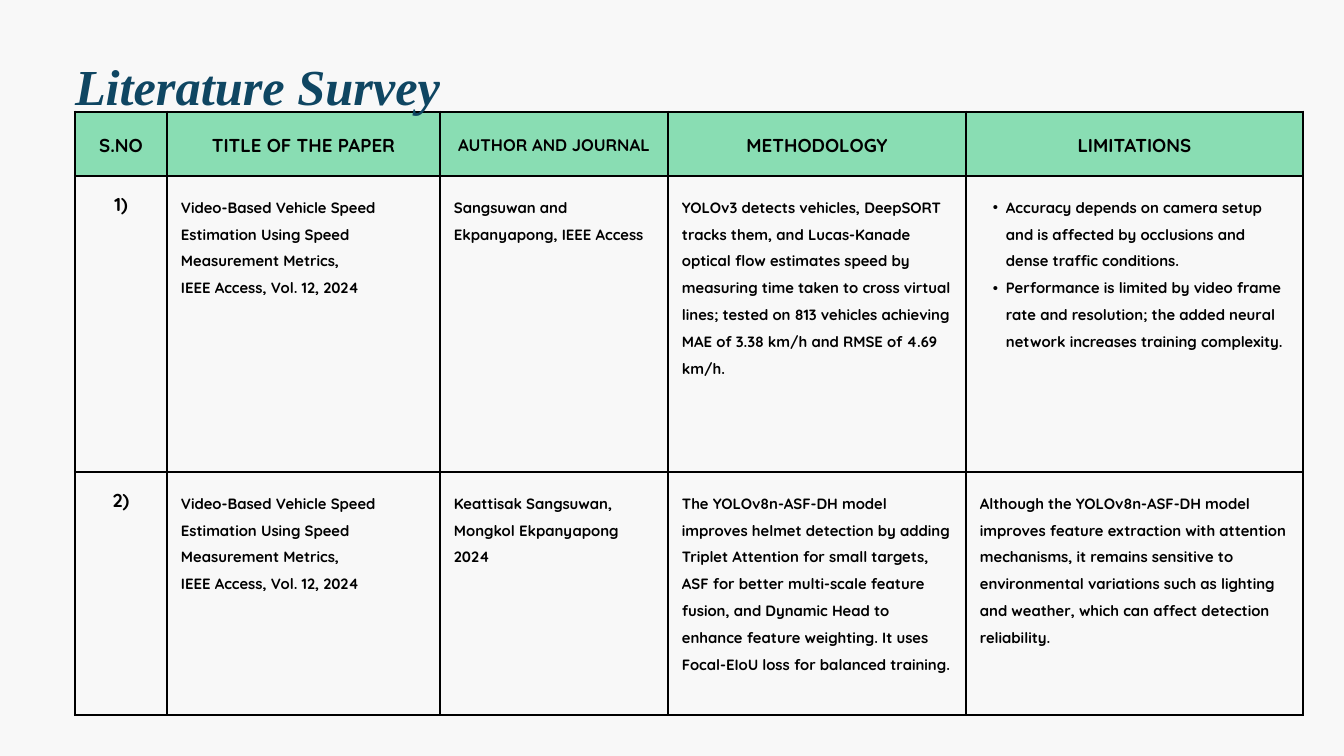
"""Build the Literature Survey slide with its table of reviewed papers."""
from dataclasses import dataclass

from lxml import etree
from pptx import Presentation
from pptx.dml.color import RGBColor
from pptx.enum.text import MSO_ANCHOR, MSO_AUTO_SIZE, PP_ALIGN
from pptx.oxml.ns import qn
from pptx.util import Pt

LEFT, CENTER = PP_ALIGN.LEFT, PP_ALIGN.CENTER
TOP, MIDDLE = MSO_ANCHOR.TOP, MSO_ANCHOR.MIDDLE
NO_AUTOFIT = MSO_AUTO_SIZE.NONE
EMU_PER_PX = 914400 / 67.2
TITLE_ONLY_LAYOUT = 5
BLACK, NAVY, MINT, PAPER = "000000", "0F4662", "89DDB3", "F8F8F8"
COLUMN_WIDTHS = (92, 273, 228, 298, 337)
ROW_HEIGHTS = (64, 296, 243)
CELL_MARGIN = 14
BULLET_INDENT = 13
BORDER_WIDTH = Pt(3)


@dataclass(frozen=True)
class Heading:
    """A column heading."""

    text: str
    size: int = 20


@dataclass(frozen=True)
class Paper:
    """One surveyed paper, with each field given as paragraphs."""

    title: tuple[str, ...]
    authors: tuple[str, ...]
    methodology: tuple[str, ...]
    limitations: tuple[str, ...]


HEADINGS = (
    Heading("S.NO"),
    Heading("TITLE OF THE PAPER"),
    Heading("AUTHOR AND JOURNAL", 18),
    Heading("METHODOLOGY"),
    Heading("LIMITATIONS"),
)
PAPER_TITLE = (
    "Video-Based Vehicle Speed Estimation Using Speed Measurement Metrics,",
    "IEEE Access, Vol. 12, 2024",
)
PAPERS = (
    Paper(
        PAPER_TITLE,
        ("Sangsuwan and Ekpanyapong, IEEE Access",),
        ("YOLOv3 detects vehicles, DeepSORT tracks them, and Lucas-Kanade optical "
         "flow estimates speed by measuring time taken to cross virtual lines; tested "
         "on 813 vehicles achieving MAE of 3.38 km/h and RMSE of 4.69 km/h.",),
        ("Accuracy depends on camera setup and is affected by occlusions and dense "
         "traffic conditions.",
         "Performance is limited by video frame rate and resolution; the added neural "
         "network increases training complexity."),
    ),
    Paper(
        PAPER_TITLE,
        ("Keattisak Sangsuwan, Mongkol Ekpanyapong", "2024"),
        ("The YOLOv8n-ASF-DH model improves helmet detection by adding Triplet "
         "Attention for small targets, ASF for better multi-scale feature fusion, and "
         "Dynamic Head to enhance feature weighting. It uses Focal-EIoU loss for "
         "balanced training.",),
        ("Although the YOLOv8n-ASF-DH model improves feature extraction with attention "
         "mechanisms, it remains sensitive to environmental variations such as lighting "
         "and weather, which can affect detection reliability.",),
    ),
)


def px(length: int) -> int:
    """Turn pixels into EMU."""
    return round(length * EMU_PER_PX)


def color(value: str) -> RGBColor:
    """Turn a hex string into a colour."""
    return RGBColor.from_string(value)


def add_bullet(paragraph) -> None:
    """Give a paragraph a hanging bullet."""
    paragraph.level = 1
    properties = paragraph._p.get_or_add_pPr()
    properties.set("marL", str(px(2 * BULLET_INDENT)))
    properties.set("indent", str(-px(BULLET_INDENT)))
    etree.SubElement(properties, qn("a:buFont"), typeface="Arial")
    etree.SubElement(properties, qn("a:buChar"), char="•")


def write_text(text_frame, lines: tuple[str, ...], *, size: int, spacing: float,
               font_name: str = "Quicksand", text_color: str = BLACK,
               italic: bool = False, align: PP_ALIGN = LEFT,
               bulleted: bool = False) -> None:
    """Write formatted paragraphs into a text frame."""
    for index, line in enumerate(lines):
        paragraph = text_frame.add_paragraph() if index else text_frame.paragraphs[0]
        if bulleted:
            add_bullet(paragraph)
        paragraph.alignment = align
        paragraph.line_spacing = Pt(size * spacing)
        run = paragraph.add_run()
        run.text = line
        run.font.name = font_name
        run.font.size = Pt(size)
        run.font.bold = True
        run.font.italic = italic
        run.font.color.rgb = color(text_color)


def style_cell(cell, *, fill: str | None = None, anchor: MSO_ANCHOR = TOP) -> None:
    """Set the margins, borders and fill of a cell."""
    cell.margin_left = cell.margin_right = px(CELL_MARGIN)
    cell.margin_top = cell.margin_bottom = px(CELL_MARGIN)
    cell.vertical_anchor = anchor
    properties = cell._tc.get_or_add_tcPr()
    for side in ("lnL", "lnR", "lnT", "lnB"):
        border = etree.SubElement(properties, qn(f"a:{side}"), w=str(BORDER_WIDTH))
        solid_fill = etree.SubElement(border, qn("a:solidFill"))
        etree.SubElement(solid_fill, qn("a:srgbClr"), val=BLACK)
    if fill:
        cell.fill.solid()
        cell.fill.fore_color.rgb = color(fill)
    else:
        cell.fill.background()


def add_survey_table(slide) -> None:
    """Add the table with its headings and papers."""
    table = slide.shapes.add_table(
        len(ROW_HEIGHTS), len(COLUMN_WIDTHS), px(75), px(112),
        px(sum(COLUMN_WIDTHS)), px(sum(ROW_HEIGHTS))).table
    table.first_row = table.horz_banding = False
    for column, width in zip(table.columns, COLUMN_WIDTHS):
        column.width = px(width)
    for row, height in zip(table.rows, ROW_HEIGHTS):
        row.height = px(height)

    for column, heading in enumerate(HEADINGS):
        cell = table.cell(0, column)
        style_cell(cell, fill=MINT, anchor=MIDDLE)
        write_text(cell.text_frame, (heading.text,), size=heading.size, spacing=1.4,
                   align=CENTER)

    for number, paper in enumerate(PAPERS, start=1):
        cell = table.cell(number, 0)
        style_cell(cell)
        write_text(cell.text_frame, (f"{number})",), size=20, spacing=1.4, align=CENTER)
        fields = (paper.title, paper.authors, paper.methodology, paper.limitations)
        for column, lines in enumerate(fields, start=1):
            cell = table.cell(number, column)
            style_cell(cell)
            bulleted = lines is paper.limitations and len(lines) > 1
            write_text(cell.text_frame, lines, size=16, spacing=1.8, bulleted=bulleted)


def format_title(slide) -> None:
    """Place the title in front of the table and write it."""
    title = slide.shapes.title
    title.left, title.top, title.width, title.height = map(px, (75, 45, 1034, 68))
    text_frame = title.text_frame
    text_frame.margin_left = text_frame.margin_right = 0
    text_frame.margin_top = text_frame.margin_bottom = 0
    text_frame.vertical_anchor = TOP
    text_frame.auto_size = NO_AUTOFIT
    text_frame.word_wrap = True
    write_text(text_frame, ("Literature Survey",), size=54, spacing=1.4,
               font_name="Times New Roman", text_color=NAVY, italic=True)
    slide.shapes._spTree.append(title._element)


def main() -> None:
    """Build and save the presentation."""
    presentation = Presentation()
    presentation.slide_width, presentation.slide_height = px(1344), px(756)
    slide = presentation.slides.add_slide(presentation.slide_layouts[TITLE_ONLY_LAYOUT])
    slide.background.fill.solid()
    slide.background.fill.fore_color.rgb = color(PAPER)
    add_survey_table(slide)
    format_title(slide)
    presentation.save("out.pptx")


if __name__ == "__main__":
    main()
